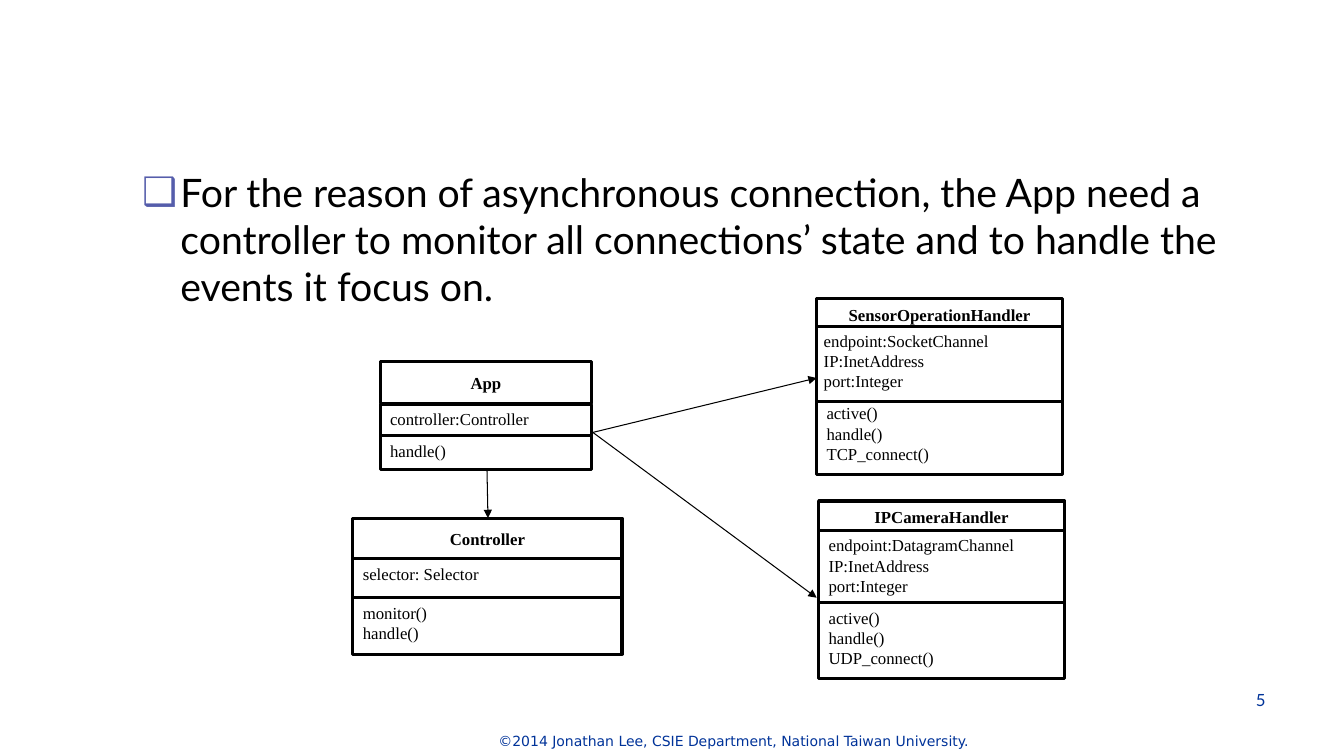
from pptx import Presentation
from pptx.dml.color import RGBColor
from pptx.enum.shapes import MSO_CONNECTOR, MSO_SHAPE
from pptx.enum.text import MSO_ANCHOR, MSO_AUTO_SIZE, PP_ALIGN
from pptx.oxml.ns import qn
from pptx.util import Inches, Pt
from lxml.etree import SubElement

HEX = {"ink": "000000", "paper": "FFFFFF", "note": "003399", "bullet": "555DAB"}
SERIF = "Times New Roman"
POINT = ("For the reason of asynchronous connection, the App need a controller "
         "to monitor all connections’ state and to handle the events it focus on.")
CREDIT = "©2014 Jonathan Lee, CSIE Department, National Taiwan University."

# Each class: left, width, then its parts as (kind, top, height, lines).
CLASSES = [
    (3.5, 2.67, [
        ("name", 5.14, 0.41, ["Controller"]),
        ("fields", 5.54, 0.39, ["selector: Selector"]),
        ("methods", 5.93, 0.56, ["monitor()", "handle()"])]),
    (3.77, 2.1, [
        ("name", 3.59, 0.41, ["App"]),
        ("fields", 4.01, 0.56, ["controller:Controller"]),
        ("methods", 4.32, 0.34, ["handle()"])]),
    (8.1, 2.44, [
        ("name", 2.96, 0.32, ["SensorOperationHandler"]),
        ("methods", 3.95, 0.76, ["active()", "handle()", "TCP_connect()"]),
        ("tight", 3.24, 0.74,
         ["endpoint:SocketChannel", "IP:InetAddress", "port:Integer"])]),
    (8.12, 2.44, [
        ("name", 4.97, 0.32, ["IPCameraHandler"]),
        ("fields", 5.26, 0.76,
         ["endpoint:DatagramChannel", "IP:InetAddress", "port:Integer"]),
        ("methods", 5.98, 0.75, ["active()", "handle()", "UDP_connect()"])]),
]
ARROWS = [
    ((5.88, 4.29), (8.1, 3.75)),
    ((5.88, 4.29), (8.1, 5.93)),
    ((4.83, 4.66), (4.84, 5.14)),
]


def color(key):
    return RGBColor.from_string(HEX[key])


def write(frame, text, font, size, key, align=PP_ALIGN.LEFT, bold=False):
    frame.word_wrap = True
    frame.text = text
    for para in frame.paragraphs:
        para.alignment = align
        for run in para.runs:
            run.font.name = font
            run.font.size = Pt(size)
            run.font.bold = bold
            run.font.color.rgb = color(key)


def add_point(slide):
    slide.shapes.title.element.getparent().remove(slide.shapes.title.element)
    body = slide.placeholders[1]
    body.left, body.top = Inches(1.31), Inches(1.62)
    body.width, body.height = Inches(11.34), Inches(5.04)
    frame = body.text_frame
    write(frame, POINT, "Lato", 28, "ink")
    frame.auto_size = MSO_AUTO_SIZE.NONE
    frame.vertical_anchor = MSO_ANCHOR.TOP
    para = frame.paragraphs[0]
    para.space_before = Pt(5.6)
    props = para._p.get_or_add_pPr()
    props.set("marL", str(Inches(0.38)))
    props.set("indent", str(Inches(-0.38)))
    tint = SubElement(props, qn("a:buClr"))
    SubElement(tint, qn("a:srgbClr"), val=HEX["bullet"])
    SubElement(props, qn("a:buChar"), char="❑")


def add_label(slide, box, text, font, size, align):
    label = slide.shapes.add_textbox(*[Inches(n) for n in box])
    write(label.text_frame, text, font, size, "note", align)


def add_part(slide, left, width, kind, top, height, lines):
    part = slide.shapes.add_shape(
        MSO_SHAPE.RECTANGLE, Inches(left), Inches(top), Inches(width), Inches(height))
    part.shadow.inherit = False
    part.fill.solid()
    part.fill.fore_color.rgb = color("paper")
    part.line.color.rgb = color("ink")
    part.line.width = Pt(2.25)
    frame = part.text_frame
    head = kind == "name"
    align = PP_ALIGN.CENTER if head else PP_ALIGN.LEFT
    write(frame, "\n".join(lines), SERIF, 12, "ink", align, head)
    frame.vertical_anchor = MSO_ANCHOR.MIDDLE if head else MSO_ANCHOR.TOP
    if kind == "tight":
        frame.margin_left = frame.margin_right = Inches(0.07)
        frame.margin_top = frame.margin_bottom = Inches(0.04)


def add_arrow(slide, start, end):
    ends = [Inches(n) for n in start + end]
    arrow = slide.shapes.add_connector(MSO_CONNECTOR.STRAIGHT, *ends)
    arrow.line.color.rgb = color("ink")
    arrow.line.width = Pt(0.75)
    SubElement(arrow.line._get_or_add_ln(), qn("a:tailEnd"), type="triangle")
    SubElement(arrow.element.spPr, qn("a:effectLst"))


def main():
    deck = Presentation()
    deck.slide_width, deck.slide_height = Inches(13.33), Inches(7.5)
    slide = deck.slides.add_slide(deck.slide_layouts[1])
    add_point(slide)
    add_label(slide, (2.46, 7.22, 9.63, 0.27), CREDIT, "DejaVu Sans", 10, PP_ALIGN.CENTER)
    add_label(slide, (9.87, 6.79, 2.78, 0.5), "5", "Lato", 12, PP_ALIGN.RIGHT)
    for left, width, parts in CLASSES:
        for part in parts:
            add_part(slide, left, width, *part)
    for start, end in ARROWS:
        add_arrow(slide, start, end)
    deck.save("out.pptx")


if __name__ == "__main__":
    main()
